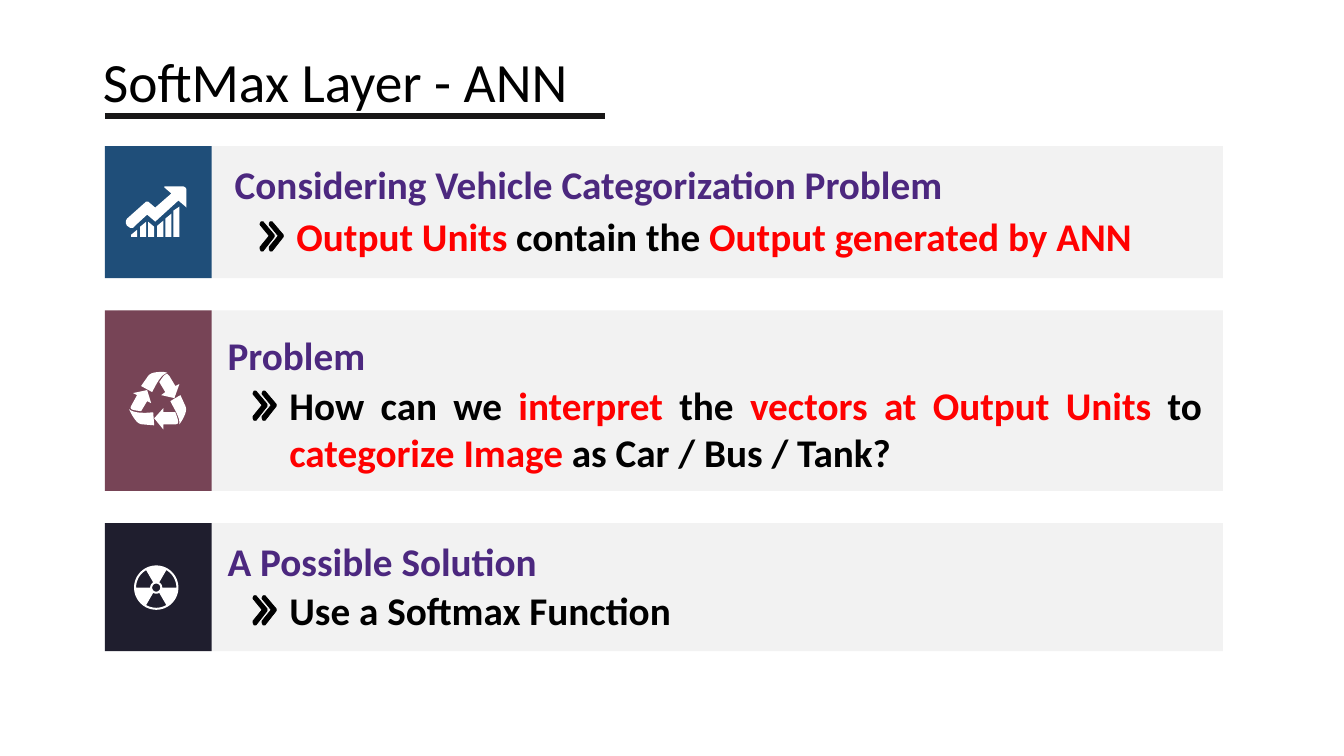
from math import cos, radians, sin

from lxml.etree import SubElement
from pptx import Presentation
from pptx.dml.color import RGBColor
from pptx.enum.shapes import MSO_CONNECTOR, MSO_SHAPE
from pptx.enum.text import MSO_ANCHOR, MSO_AUTO_SIZE, PP_ALIGN
from pptx.oxml.ns import qn
from pptx.util import Inches, Pt

BLACK = RGBColor(0x00, 0x00, 0x00)
WHITE = RGBColor(0xFF, 0xFF, 0xFF)
RED = RGBColor(0xFF, 0x00, 0x00)
PURPLE = RGBColor(0x4C, 0x28, 0x7F)
PANEL_GREY = RGBColor(0xF2, 0xF2, 0xF2)
RULE_GREY = RGBColor(0x18, 0x17, 0x17)
NAVY = RGBColor(0x1F, 0x4E, 0x79)
PLUM = RGBColor(0x77, 0x44, 0x56)
MIDNIGHT = RGBColor(0x1F, 0x1E, 0x2E)

# Cards: top, height, tab colour, heading place and text, body top and height, runs
CARDS = [
    (1.45, 1.31, NAVY, (2.23, 1.54), "Considering Vehicle Categorization Problem",
     2.10, 0.47, [("Output Units", RED), (" contain the ", BLACK),
                  ("Output generated by ANN", RED)]),
    (3.08, 1.79, PLUM, (2.16, 3.24), "Problem",
     3.78, 0.94, [("How can we ", BLACK), ("interpret", RED), (" the ", BLACK),
                  ("vectors at Output Units", RED), (" to ", BLACK),
                  ("categorize Image", RED), (" as Car / Bus / Tank?", BLACK)]),
    (5.19, 1.27, MIDNIGHT, (2.16, 5.28), "A Possible Solution",
     5.81, 0.47, [("Use a Softmax Function", BLACK)]),
]

CHEVRON = [(0, 0.02), (0.01, 0), (0.03, 0), (0.14, 0.13), (0.14, 0.15), (0.03, 0.29),
           (0.01, 0.29), (0, 0.27), (0, 0.25), (0.09, 0.14), (0, 0.03)]

# Growth icon: bars as left, top left, top right
GROWTH_BARS = [(1.30, 2.33, 2.28), (1.39, 2.25, 2.20), (1.47, 2.20, 2.25),
               (1.56, 2.24, 2.19), (1.64, 2.17, 2.12), (1.72, 2.09, 2.05)]
GROWTH_ARROW = [(1.63, 1.85), (1.82, 1.85), (1.84, 1.86), (1.85, 1.88), (1.85, 2.06),
                (1.84, 2.05), (1.77, 1.99), (1.55, 2.19), (1.54, 2.20), (1.53, 2.19),
                (1.46, 2.13), (1.34, 2.24), (1.32, 2.26), (1.29, 2.26), (1.26, 2.24),
                (1.25, 2.22), (1.25, 2.19), (1.26, 2.17), (1.45, 2.00), (1.47, 2.00),
                (1.54, 2.06), (1.70, 1.92), (1.63, 1.86)]

# Recycling icon: a pair is a corner, a triple of pairs is a curve
RECYCLE_ARROWS = [
    [(1.28, 4.06), ((1.33, 4.10), (1.43, 4.10), (1.52, 4.09)), (1.53, 4.22), (1.41, 4.21),
     ((1.36, 4.21), (1.32, 4.14), (1.28, 4.06))],
    [(1.62, 4.05), (1.62, 4.09), (1.74, 4.09), ((1.76, 4.15), (1.79, 4.21), (1.74, 4.21)),
     (1.62, 4.21), (1.62, 4.26), (1.53, 4.15)],
    [(1.79, 3.92), (1.84, 4.03), ((1.86, 4.07), (1.83, 4.14), (1.78, 4.21)),
     ((1.79, 4.15), (1.73, 4.06), (1.69, 3.98))],
    [(1.46, 3.87), (1.50, 4.00), (1.46, 3.98), (1.40, 4.08),
     ((1.34, 4.07), (1.28, 4.07), (1.30, 4.03)), (1.36, 3.92), (1.32, 3.90)],
    [(1.66, 3.71), (1.68, 3.73), (1.74, 3.83), (1.78, 3.81), (1.73, 3.95), (1.60, 3.92),
     (1.64, 3.89), (1.58, 3.79), ((1.61, 3.75), (1.63, 3.71), (1.66, 3.71))],
    [(1.60, 3.69), ((1.62, 3.69), (1.64, 3.69), (1.66, 3.70)),
     ((1.60, 3.71), (1.55, 3.81), (1.51, 3.89)), (1.40, 3.83), (1.47, 3.73),
     ((1.49, 3.70), (1.54, 3.69), (1.60, 3.69))],
]


def flatten(outline, steps=8):
    """Turn corners and cubic curves into a list of points."""
    points = []
    for node in outline:
        if len(node) == 2:
            points.append(node)
            continue
        curve = (points[-1], *node)
        for step in range(1, steps + 1):
            t = step / steps
            weights = ((1 - t) ** 3, 3 * t * (1 - t) ** 2, 3 * t * t * (1 - t), t ** 3)
            points.append(tuple(sum(w * p[axis] for w, p in zip(weights, curve))
                                for axis in (0, 1)))
    return points


def arc(radius, start, end):
    """Points every five degrees around the hub of the radiation icon."""
    step = 5 if end > start else -5
    return [(1.55 + radius * cos(radians(angle)), 5.83 + radius * sin(radians(angle)))
            for angle in range(start, end + step, step)]


class SlideBuilder:
    font = {"name": "Calibri", "size": Pt(28), "bold": True}
    heading_frame = {"word_wrap": True, "auto_size": MSO_AUTO_SIZE.SHAPE_TO_FIT_TEXT}
    body_frame = {**heading_frame, "vertical_anchor": MSO_ANCHOR.BOTTOM, "margin_left": 0,
                  "margin_top": 0, "margin_right": 0, "margin_bottom": 0}
    title_frame = {"word_wrap": True, "auto_size": MSO_AUTO_SIZE.NONE,
                   "vertical_anchor": MSO_ANCHOR.MIDDLE}

    def __init__(self, slide):
        self.slide = slide
        self.shapes = slide.shapes

    def apply(self, target, values):
        for key, value in values.items():
            setattr(target, key, value)

    def add_runs(self, paragraph, runs, **changes):
        for wording, colour in runs:
            run = paragraph.add_run()
            run.text = wording
            self.apply(run.font, {**self.font, **changes})
            run.font.color.rgb = colour

    def title(self, wording, left, top, width, height):
        heading = self.shapes.title
        self.apply(heading, {"left": Inches(left), "top": Inches(top),
                             "width": Inches(width), "height": Inches(height)})
        self.apply(heading.text_frame, self.title_frame)
        paragraph = heading.text_frame.paragraphs[0]
        paragraph.alignment = PP_ALIGN.LEFT
        self.add_runs(paragraph, [(wording, BLACK)], size=Pt(39.6), bold=False)

    def text(self, runs, left, top, width, height, frame, alignment=PP_ALIGN.LEFT):
        box = self.shapes.add_textbox(Inches(left), Inches(top), Inches(width), Inches(height))
        self.apply(box.text_frame, frame)
        paragraph = box.text_frame.paragraphs[0]
        paragraph.alignment = alignment
        self.add_runs(paragraph, runs)

    def paint(self, shape, colour, outlined=False):
        shape.shadow.inherit = False
        shape.fill.solid()
        shape.fill.fore_color.rgb = colour
        if outlined:
            shape.line.color.rgb = colour
            shape.line.width = Pt(0.5)
        else:
            shape.line.fill.background()

    def panel(self, left, top, width, height, colour):
        panel = self.shapes.add_shape(MSO_SHAPE.RECTANGLE, Inches(left), Inches(top),
                                      Inches(width), Inches(height))
        self.paint(panel, colour)

    def rule(self, left, right, y, colour, weight):
        rule = self.shapes.add_connector(MSO_CONNECTOR.STRAIGHT, Inches(left), Inches(y),
                                         Inches(right), Inches(y))
        rule.line.color.rgb = colour
        rule.line.width = Pt(weight)
        SubElement(rule._element.spPr, qn("a:effectLst"))

    def icon(self, outlines, colour, outlined=False):
        outlines = [[(Inches(x), Inches(y)) for x, y in outline] for outline in outlines]
        builder = self.shapes.build_freeform(*outlines[0][0])
        for position, outline in enumerate(outlines):
            if position:
                builder.move_to(*outline[0])
            builder.add_line_segments(outline[1:], close=True)
        self.paint(builder.convert_to_shape(), colour, outlined)

    def card(self, top, height, tab_colour, heading_at, heading, body_top, body_height, runs):
        self.panel(1.17, top, 10.96, height, PANEL_GREY)
        self.panel(1.04, top, 1.06, height, tab_colour)
        left, heading_top = heading_at
        self.text([(heading, PURPLE)], left, heading_top, 9.04, 0.57, self.heading_frame)
        self.text(runs, left + 0.71, body_top, 9.05, body_height, self.body_frame,
                  PP_ALIGN.JUSTIFY)
        self.icon([[(left + shift + x, body_top + 0.1 + y) for x, y in CHEVRON]
                   for shift in (0.35, 0.44)], BLACK, outlined=True)


def main():
    deck = Presentation()
    deck.slide_width, deck.slide_height = Inches(13.33), Inches(7.5)
    builder = SlideBuilder(deck.slides.add_slide(deck.slide_layouts[5]))

    # Title and underline
    builder.title("SoftMax Layer - ANN", 0.92, 0.4, 9.13, 0.79)
    builder.rule(1.04, 6, 1.15, RULE_GREY, 4.5)

    # Cards
    for card in CARDS:
        builder.card(*card)

    # Icons on the coloured tabs
    bars = [[(left, top_left), (left + 0.06, top_right), (left + 0.06, 2.35), (left, 2.35)]
            for left, top_left, top_right in GROWTH_BARS]
    builder.icon([*bars, GROWTH_ARROW], WHITE)
    builder.icon([flatten(arrow) for arrow in RECYCLE_ARROWS], WHITE)
    blades = [arc(0.2, start, start + 60) + arc(0.06, start + 60, start)
              for start in (60, 180, 300)]
    builder.icon([arc(0.22, 0, 355), arc(0.04, 355, 0), *blades], WHITE)

    deck.save("out.pptx")


if __name__ == "__main__":
    main()
